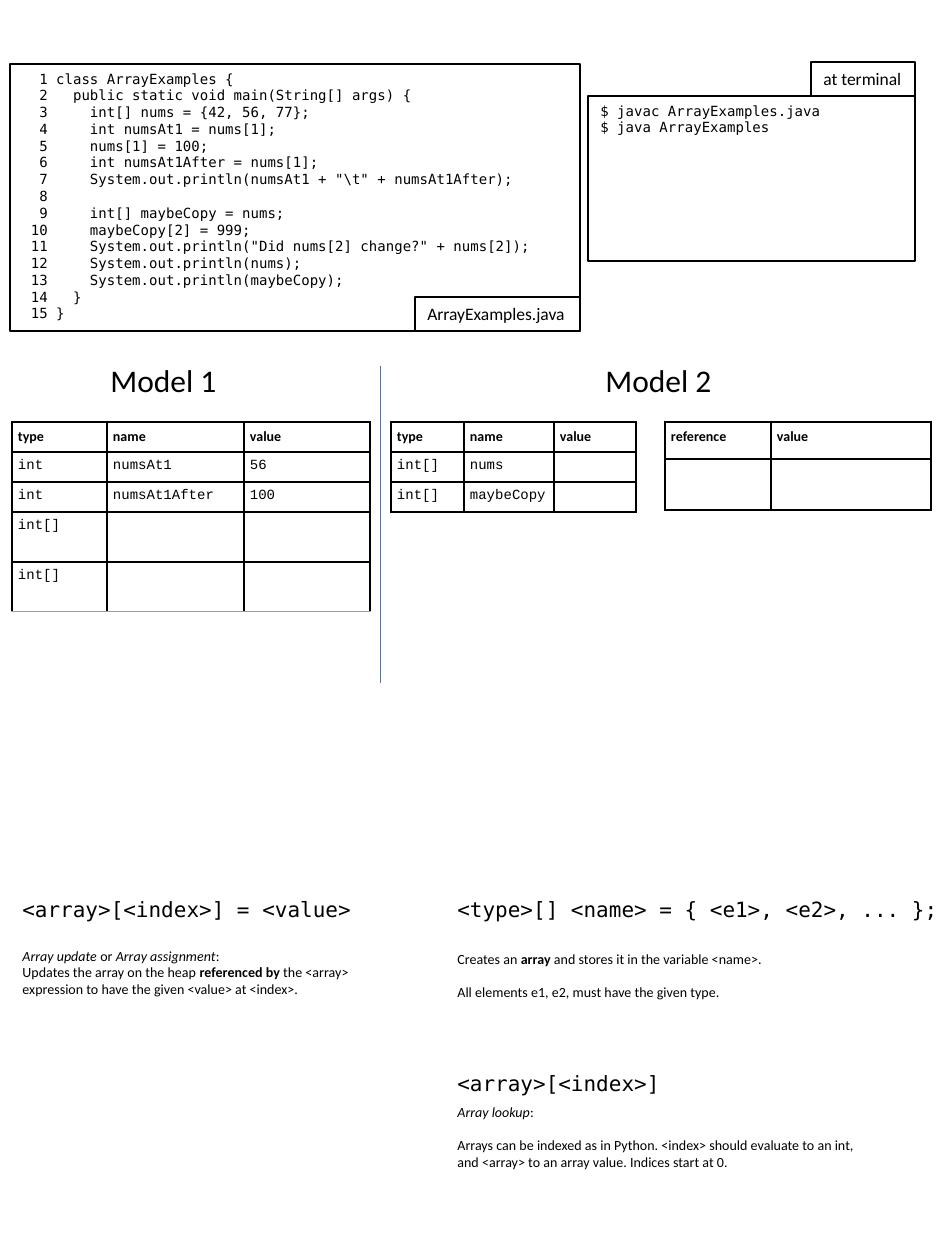
from dataclasses import dataclass

import pptx
import pptx.dml.color
import pptx.enum.shapes
import pptx.enum.text
import pptx.oxml.ns
import pptx.util
from lxml import etree


@dataclass(frozen=True)
class Theme:
    ink: str = "000000"
    divider: str = "4472C4"
    faint: str = "9E9E9E"
    sans: str = "Calibri"
    code: str = "DejaVu Sans Mono"
    cell: str = "Courier New"
    small: int = 8
    label: int = 10
    syntax: int = 12
    title: int = 18
    blank_line: float = 9.75
    outline: float = 0.75
    grid: float = 1


@dataclass(frozen=True)
class Box:
    left: int
    top: int
    width: int
    height: int


THEME = Theme()
PX_PER_INCH = 126
LABEL_HEIGHT = 34
HEADING_HEIGHT = 38
CELL_INSET = 6

JAVA_SOURCE = r"""class ArrayExamples {
  public static void main(String[] args) {
    int[] nums = {42, 56, 77};
    int numsAt1 = nums[1];
    nums[1] = 100;
    int numsAt1After = nums[1];
    System.out.println(numsAt1 + "\t" + numsAt1After);

    int[] maybeCopy = nums;
    maybeCopy[2] = 999;
    System.out.println("Did nums[2] change?" + nums[2]);
    System.out.println(nums);
    System.out.println(maybeCopy);
  }
}"""
COMMANDS = "$ javac ArrayExamples.java\n$ java ArrayExamples"

# Each paragraph: blank lines before it, then (text, style) runs.
UPDATE_NOTE = [
    (0, [("Array update", "i"), (" or ", ""), ("Array assignment", "i"), (":", "")]),
    (0, [("Updates the array on the heap ", ""), ("referenced by", "b"),
         (" the <array> expression to have the given <value> at <index>.", "")]),
]
CREATE_AND_LOOKUP_NOTE = [
    (0, [("Creates an ", ""), ("array", "b"),
         (" and stores it in the variable <name>.", "")]),
    (1, [("All elements e1, e2, must have the given type.", "")]),
    (6, [("Array lookup", "i"), (":", "")]),
    (1, [("Arrays can be indexed as in Python. <index> should evaluate to an int, "
          "and <array> to an array value. Indices start at 0.", "")]),
]


def px(length):
    return pptx.util.Emu(round(length * 914400 / PX_PER_INCH))


def place(box):
    return [px(n) for n in (box.left, box.top, box.width, box.height)]


def rgb(color):
    return pptx.dml.color.RGBColor.from_string(color)


def style_runs(frame, font, size, bold=None):
    for paragraph in frame.paragraphs:
        paragraph.alignment = pptx.enum.text.PP_ALIGN.LEFT
        for run in paragraph.runs:
            run.font.name = font
            run.font.size = pptx.util.Pt(size)
            run.font.color.rgb = rgb(THEME.ink)
            if bold is not None:
                run.font.bold = bold


def add_framed_text(slide, box, text, font, size, wrap=True):
    frame = slide.shapes.add_shape(
        pptx.enum.shapes.MSO_SHAPE.RECTANGLE, *place(box))
    frame.shadow.inherit = False
    frame.fill.background()
    frame.line.color.rgb = rgb(THEME.ink)
    frame.line.width = pptx.util.Pt(THEME.outline)
    body = frame.text_frame
    body.text = text
    body.word_wrap = wrap
    body.vertical_anchor = pptx.enum.text.MSO_ANCHOR.TOP
    style_runs(body, font, size)


def add_listing(slide, box, text, label, label_width, label_above):
    """Framed code with a label flush right, above the frame or inside its foot."""
    add_framed_text(slide, box, text, THEME.code, THEME.small)
    label_top = box.top if label_above else box.top + box.height
    label_box = Box(box.left + box.width - label_width, label_top - LABEL_HEIGHT,
                    label_width, LABEL_HEIGHT)
    add_framed_text(slide, label_box, label, THEME.sans, THEME.label, wrap=False)


def add_heading(slide, box, text, font, size, wrap=True):
    body = slide.shapes.add_textbox(*place(box)).text_frame
    body.text = text
    body.word_wrap = wrap
    style_runs(body, font, size)


def add_syntax(slide, left, top, width, text):
    add_heading(slide, Box(left, top, width, HEADING_HEIGHT), text,
                THEME.code, THEME.syntax)


def add_note(slide, box, paragraphs):
    body = slide.shapes.add_textbox(*place(box)).text_frame
    body.word_wrap = True
    for index, (blank_lines, runs) in enumerate(paragraphs):
        paragraph = body.add_paragraph() if index else body.paragraphs[0]
        if blank_lines:
            paragraph.space_before = pptx.util.Pt(blank_lines * THEME.blank_line)
        for text, style in runs:
            run = paragraph.add_run()
            run.text = text
            run.font.italic = style == "i"
            run.font.bold = style == "b"
    style_runs(body, THEME.sans, THEME.small)


def border_cell(cell, bottom):
    properties = cell._tc.get_or_add_tcPr()
    edges = {side: (THEME.ink, THEME.grid) for side in ("lnL", "lnR", "lnT")}
    edges["lnB"] = bottom
    for side, (color, width) in edges.items():
        line = etree.SubElement(properties, pptx.oxml.ns.qn(f"a:{side}"),
                                w=str(pptx.util.Pt(width)))
        fill = etree.SubElement(line, pptx.oxml.ns.qn("a:solidFill"))
        etree.SubElement(fill, pptx.oxml.ns.qn("a:srgbClr"), val=color)


def add_memory_table(slide, left, top, columns, heights, rows, foot=None):
    """Table whose first row is a header; foot is the last row's bottom border."""
    box = Box(left, top, sum(columns), sum(heights))
    table = slide.shapes.add_table(len(rows), len(columns), *place(box)).table
    table.first_row = table.horz_banding = False
    for column, width in zip(table.columns, columns):
        column.width = px(width)
    for r, (row, height, texts) in enumerate(zip(table.rows, heights, rows)):
        row.height = px(height)
        is_last = r == len(rows) - 1
        for cell, text in zip(row.cells, texts):
            cell.margin_left = cell.margin_right = px(CELL_INSET)
            cell.margin_top = cell.margin_bottom = px(CELL_INSET)
            border_cell(cell, foot if foot and is_last else (THEME.ink, THEME.grid))
            cell.fill.background()
            if text:
                cell.text_frame.text = text
                style_runs(cell.text_frame, THEME.cell if r else THEME.sans,
                           THEME.small, bold=r == 0)
            else:
                etree.SubElement(cell.text_frame.paragraphs[0]._p,
                                 pptx.oxml.ns.qn("a:endParaRPr"),
                                 sz=str(THEME.small * 100))


def add_divider(slide, x, top, bottom):
    divider = slide.shapes.add_connector(
        pptx.enum.shapes.MSO_CONNECTOR.STRAIGHT, px(x), px(top), px(x), px(bottom))
    divider.line.color.rgb = rgb(THEME.divider)
    divider.line.width = pptx.util.Pt(0.5)
    etree.SubElement(divider._element.spPr, pptx.oxml.ns.qn("a:effectLst"))


def add_models(slide, box):
    """Two memory models, side by side, with a divider between them."""
    for title, offset in (("Model 1", 88), ("Model 2", 583)):
        add_heading(slide, Box(box.left + offset, box.top, 132, 50), title,
                    THEME.sans, THEME.title, wrap=False)
    table_top = box.top + 67
    header = ("type", "name", "value")
    add_memory_table(slide, box.left + 2, table_top, (95, 137, 126), (30, 30, 30, 50, 50), [
        header, ("int", "numsAt1", "56"), ("int", "numsAt1After", "100"),
        ("int[]", "", ""), ("int[]", "", "")], foot=(THEME.faint, THEME.outline))
    add_memory_table(slide, box.left + 381, table_top, (73, 90, 82), (30, 30, 30), [
        header, ("int[]", "nums", ""), ("int[]", "maybeCopy", "")])
    add_memory_table(slide, box.left + 655, table_top, (106, 160), (37, 51), [
        ("reference", "value"), ("", "")])
    add_divider(slide, box.left + 370, box.top + 11, box.top + box.height)


def add_syntax_reference(slide, box):
    right = box.left + 435
    add_syntax(slide, box.left, box.top, 431, "<array>[<index>] = <value>")
    add_note(slide, Box(box.left, box.top + 51, 397, 63), UPDATE_NOTE)
    add_syntax(slide, right, box.top, 519, "<type>[] <name> = { <e1>, <e2>, ... };")
    add_note(slide, Box(right, box.top + 54, 422, box.height - 54),
             CREATE_AND_LOOKUP_NOTE)
    add_syntax(slide, right, box.top + 174, 519, "<array>[<index>]")


def main():
    deck = pptx.Presentation()
    deck.slide_width, deck.slide_height = px(945), px(1260)
    slide = deck.slides.add_slide(deck.slide_layouts[6])
    numbered = "\n".join(f"{number:3d} {line}".rstrip() for number, line
                         in enumerate(JAVA_SOURCE.splitlines(), 1))
    add_listing(slide, Box(10, 64, 570, 267), numbered,
                "ArrayExamples.java", 165, label_above=False)
    add_listing(slide, Box(588, 96, 327, 165), COMMANDS,
                "at terminal", 104, label_above=True)
    add_models(slide, Box(10, 355, 921, 328))
    add_syntax_reference(slide, Box(10, 890, 954, 305))
    deck.save("out.pptx")


if __name__ == "__main__":
    main()
